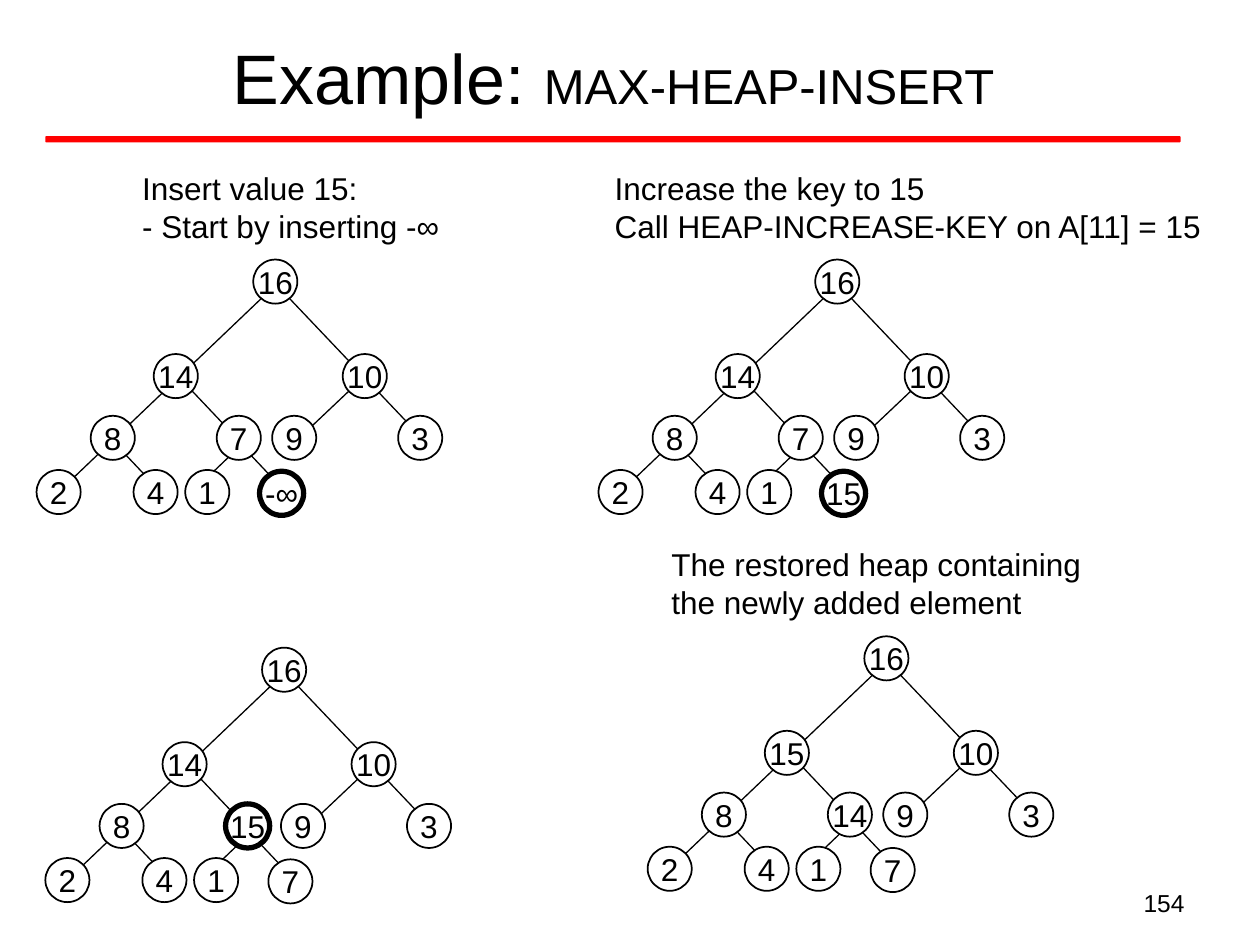
"""Build the MAX-HEAP-INSERT example slide with four heap trees."""
from lxml import etree
from pptx import Presentation
from pptx.dml.color import RGBColor
from pptx.enum import shapes, text
from pptx.oxml import ns
from pptx.util import Inches, Pt

BLACK = RGBColor(0, 0, 0)
WHITE = RGBColor(255, 255, 255)
RED = RGBColor(255, 0, 0)
NODE_SIZE = 0.35
LAST = 9

NODE_OFFSETS = [
    (1.72, 0), (0.93, 0.75), (2.43, 0.75),
    (0.43, 1.24), (1.43, 1.24), (1.87, 1.24), (2.87, 1.24),
    (0, 1.67), (0.77, 1.67), (1.18, 1.67), (1.77, 1.68),
]
EDGE_OFFSETS = [
    (2.03, 1.9, 1.5, 1.34), (1.24, 1.84, 1.69, 1.41),
    (2.05, 1.45, 2.61, 0.92), (1.03, 1.89, 0.5, 1.33),
    (1.62, 1.45, 1.09, 0.89), (3.13, 1.49, 1.8, 0.09),
    (0.18, 1.84, 1.93, 0.17),
]
TREES = [
    (0.29, 2.06, "16 14 10 8 7 9 3 2 4 1 -∞", 10),
    (4.75, 2.06, "16 14 10 8 7 9 3 2 4 1 15", 10),
    (0.36, 5.14, "16 14 10 8 15 9 3 2 4 1 7", 4),
    (5.14, 5.05, "16 15 10 8 14 9 3 2 4 1 7", None),
]
LEFT, CENTER, RIGHT = text.PP_ALIGN.LEFT, text.PP_ALIGN.CENTER, text.PP_ALIGN.RIGHT
TOP, MIDDLE = text.MSO_ANCHOR.TOP, text.MSO_ANCHOR.MIDDLE
TEXT_BOXES = [
    ((0.37, 0.11, 9, 0.99), [[("Example: ", 40), ("MAX-HEAP-INSERT", 28)]], CENTER, MIDDLE, True),
    ((7.17, 7, 2.33, 0.35), [[("154", 14)]], RIGHT, TOP, True),
    ((1.03, 1.29, 2.56, 0.7),
     [[("Insert value 15:", 18)], [("- Start by inserting -∞", 18)]], LEFT, TOP, False),
    ((4.78, 1.29, 4.89, 0.7),
     [[("Increase the key to 15", 18)], [("Call HEAP-INCREASE-KEY on A[11] = 15", 18)]],
     LEFT, TOP, False),
    ((5.23, 4.28, 3.45, 0.7),
     [[("The restored heap containing", 18)], [("the newly added element", 18)]],
     LEFT, TOP, False),
]


def write_text(shape, lines, alignment, anchor, wrap):
    frame = shape.text_frame
    for name, value in {"word_wrap": wrap, "vertical_anchor": anchor}.items():
        setattr(frame, name, value)
    for index, runs in enumerate(lines):
        paragraph = frame.add_paragraph() if index else frame.paragraphs[0]
        paragraph.alignment = alignment
        for words, size in runs:
            run = paragraph.add_run()
            run.text = words
            for name, value in {"name": "Arial", "size": Pt(size)}.items():
                setattr(run.font, name, value)
            run.font.color.rgb = BLACK


def add_filled(kind, box, color):
    shape = slide.shapes.add_shape(kind, *map(Inches, box))
    shape.shadow.inherit = False
    shape.fill.solid()
    shape.fill.fore_color.rgb = color
    return shape


presentation = Presentation()
presentation.slide_width = Inches(10)
presentation.slide_height = Inches(7.5)
slide = presentation.slides.add_slide(presentation.slide_layouts[6])

title_rule = add_filled(shapes.MSO_SHAPE.ROUNDED_RECTANGLE, (0.36, 1.08, 9.01, 0.05), RED)
title_rule.line.fill.background()

for box, lines, alignment, anchor, wrap in TEXT_BOXES:
    text_box = slide.shapes.add_textbox(*map(Inches, box))
    write_text(text_box, lines, alignment, anchor, wrap)

for left, top, keys, highlighted in TREES:
    for x1, y1, x2, y2 in EDGE_OFFSETS:
        ends = (left + x1, top + y1, left + x2, top + y2)
        edge = slide.shapes.add_connector(shapes.MSO_CONNECTOR.STRAIGHT, *map(Inches, ends))
        edge.line.color.rgb = BLACK
        edge.line.width = Pt(0.75)
        etree.SubElement(edge._element.spPr, ns.qn("a:effectLst"))
    for index, (key, (x, y)) in enumerate(zip(keys.split(), NODE_OFFSETS)):
        node = add_filled(shapes.MSO_SHAPE.OVAL, (left + x, top + y, NODE_SIZE, NODE_SIZE), WHITE)
        node.line.color.rgb = BLACK
        node.line.width = Pt(3 if index == highlighted else 1)
        write_text(node, [[(key, 18)]], CENTER, MIDDLE, False)

presentation.save("out.pptx")
